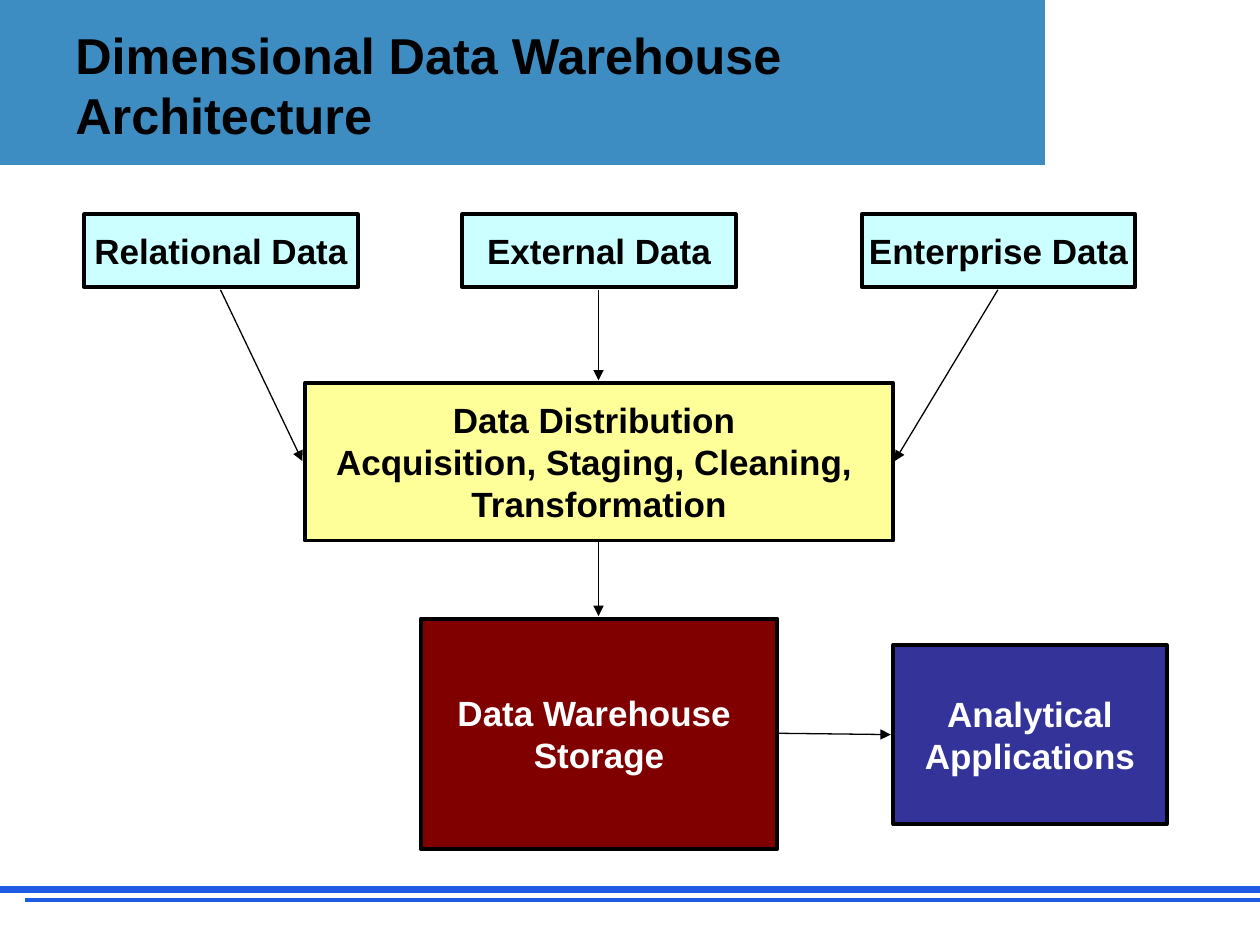
from pptx import Presentation
from pptx.dml.color import RGBColor
from pptx.enum.shapes import MSO_CONNECTOR, MSO_SHAPE
from pptx.enum.text import MSO_ANCHOR, PP_ALIGN
from pptx.oxml.ns import qn
from pptx.util import Inches, Pt
from lxml import etree

RECTANGLE = MSO_SHAPE.RECTANGLE
STRAIGHT = MSO_CONNECTOR.STRAIGHT
MIDDLE = MSO_ANCHOR.MIDDLE
LEFT, CENTER = PP_ALIGN.LEFT, PP_ALIGN.CENTER

BLACK, WHITE = "000000", "FFFFFF"
HEADER_BLUE, RULE_BLUE = "3D8DC3", "1E5BE2"
SOURCE_CYAN, STAGING_YELLOW = "CCFFFF", "FFFF99"
STORAGE_RED, APPLICATION_BLUE = "800000", "333399"


def color(hex_string):
    return RGBColor.from_string(hex_string)


def write_text(box, text, size=20, ink=BLACK, font="Arial", align=CENTER, wrap=False):
    """Write one bold paragraph per line of text, centred vertically."""
    frame = box.text_frame
    frame.word_wrap = wrap
    frame.vertical_anchor = MIDDLE
    for index, line in enumerate(text.split("\n")):
        para = frame.add_paragraph() if index else frame.paragraphs[0]
        para.alignment = align
        span = para.add_run()
        span.text = line
        span.font.name = font
        span.font.size = Pt(size)
        span.font.bold = True
        span.font.color.rgb = color(ink)


class Diagram:
    """Holds the current page and the line weights of its elements."""

    border = 2.25
    arrow_weight = 0.75

    def __init__(self, page):
        self.page = page

    def block(self, left, top, width, height, fill, outline=None, weight=border):
        box = self.page.shapes.add_shape(
            RECTANGLE, Inches(left), Inches(top), Inches(width), Inches(height))
        box.shadow.inherit = False
        box.fill.solid()
        box.fill.fore_color.rgb = color(fill)
        if outline:
            box.line.color.rgb = color(outline)
            box.line.width = Pt(weight)
        else:
            box.line.fill.background()
        return box

    def node(self, left, top, width, height, text, fill, ink=BLACK):
        box = self.block(left, top, width, height, fill, outline=BLACK)
        write_text(box, text, ink=ink)

    def title(self, left, top, width, height, text):
        box = self.page.shapes.add_textbox(
            Inches(left), Inches(top), Inches(width), Inches(height))
        write_text(box, text, size=28.8, align=LEFT, wrap=True)

    def line(self, start, end, ink, weight):
        line = self.page.shapes.add_connector(
            STRAIGHT, *(Inches(value) for value in (*start, *end)))
        line.line.color.rgb = color(ink)
        line.line.width = Pt(weight)
        etree.SubElement(line._element.spPr, qn("a:effectLst"))
        return line

    def arrow(self, start, end):
        line = self.line(start, end, BLACK, self.arrow_weight)
        head = etree.SubElement(line.line._get_or_add_ln(), qn("a:tailEnd"))
        head.set("type", "triangle")


def main():
    deck = Presentation()
    deck.slide_width, deck.slide_height = Inches(10), Inches(7.5)
    diagram = Diagram(deck.slides.add_slide(deck.slide_layouts[6]))

    # Header band, footer rules and title
    diagram.block(0, 0, 10, 1.31, HEADER_BLUE)
    diagram.line((0, 7.06), (10, 7.06), RULE_BLUE, 4.5)
    diagram.line((0.2, 7.14), (10, 7.14), RULE_BLUE, 2.25)
    diagram.block(8.31, 0, 1.69, 1.39, WHITE, outline=WHITE, weight=2)
    diagram.title(0.5, 0.13, 6.86, 1.08, "Dimensional Data Warehouse Architecture")

    # Data sources, each with an arrow into the distribution stage
    sources = [
        ("Relational Data", 0.67, (2.4, 3.66)),
        ("External Data", 3.67, (4.75, 3.02)),
        ("Enterprise Data", 6.84, (7.1, 3.66)),
    ]
    for text, left, target in sources:
        diagram.node(left, 1.7, 2.17, 0.58, text, SOURCE_CYAN)
        diagram.arrow((left + 1.08, 2.3), target)

    # Distribution, storage and applications
    diagram.node(2.42, 3.04, 4.67, 1.25,
                 "Data Distribution \nAcquisition, Staging, Cleaning, \nTransformation",
                 STAGING_YELLOW)
    diagram.node(3.34, 4.91, 2.83, 1.83, "Data Warehouse \nStorage", STORAGE_RED, WHITE)
    diagram.node(7.09, 5.12, 2.17, 1.42, "Analytical\nApplications",
                 APPLICATION_BLUE, WHITE)
    diagram.arrow((4.75, 4.3), (4.75, 4.89))
    diagram.arrow((6.18, 5.82), (7.07, 5.83))

    deck.save("out.pptx")


if __name__ == "__main__":
    main()
